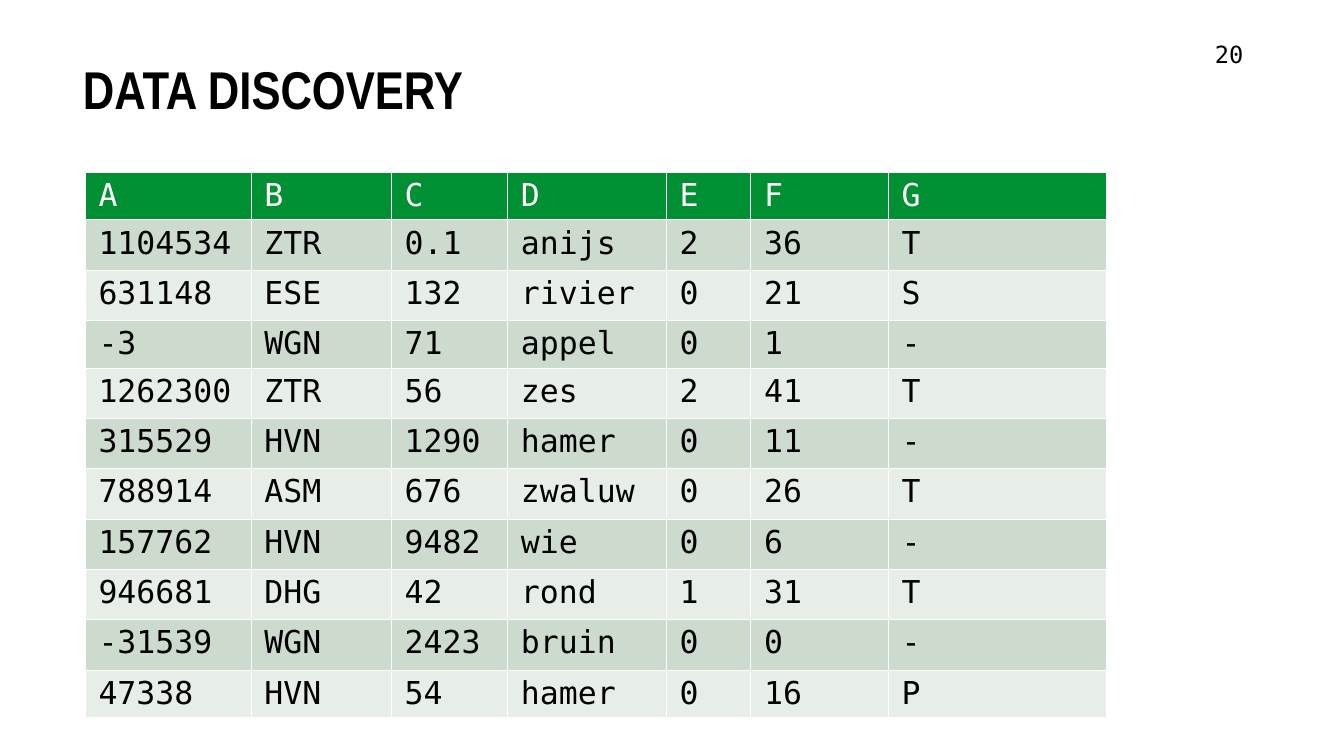
import pptx
import pptx.dml.color
import pptx.enum.text
import pptx.oxml.ns
import pptx.util
from lxml import etree

Inches = pptx.util.Inches
Pt = pptx.util.Pt
RGBColor = pptx.dml.color.RGBColor

BLACK = RGBColor(0x00, 0x00, 0x00)
WHITE = RGBColor(0xFF, 0xFF, 0xFF)
GREEN = RGBColor(0x00, 0x8F, 0x33)
SAGE = RGBColor(0xCC, 0xDB, 0xCE)
MIST = RGBColor(0xE7, 0xEE, 0xE8)

RECORDS = [
    ("A", "B", "C", "D", "E", "F", "G"),
    ("1104534", "ZTR", "0.1", "anijs", "2", "36", "T"),
    ("631148", "ESE", "132", "rivier", "0", "21", "S"),
    ("-3", "WGN", "71", "appel", "0", "1", "-"),
    ("1262300", "ZTR", "56", "zes", "2", "41", "T"),
    ("315529", "HVN", "1290", "hamer", "0", "11", "-"),
    ("788914", "ASM", "676", "zwaluw", "0", "26", "T"),
    ("157762", "HVN", "9482", "wie", "0", "6", "-"),
    ("946681", "DHG", "42", "rond", "1", "31", "T"),
    ("-31539", "WGN", "2423", "bruin", "0", "0", "-"),
    ("47338", "HVN", "54", "hamer", "0", "16", "P"),
]
COLUMN_WIDTHS = [2.34, 1.98, 1.64, 2.24, 1.19, 1.94, 3.08]
SHORT_ROWS = {0, 3, 10}
SHORT_HEIGHT, TALL_HEIGHT = 0.65, 0.71


class SlideBuilder:
    heading_font = "Arial Narrow"
    body_font = "DejaVu Sans Mono"

    def __init__(self, page):
        self.page = page

    def style(self, para, font, size, color, bold=False):
        para.font.name = font
        para.font.size = Pt(size)
        para.font.bold = bold
        para.font.color.rgb = color

    def text(self, words, left, top, width, height, font, size, bold=False, spacing=1.0):
        box = self.page.shapes.add_textbox(
            Inches(left), Inches(top), Inches(width), Inches(height))
        frame = box.text_frame
        frame.word_wrap = True
        frame.vertical_anchor = pptx.enum.text.MSO_ANCHOR.TOP
        para = frame.paragraphs[0]
        para.text = words
        para.line_spacing = spacing
        self.style(para, font, size, BLACK, bold)

    def borders(self, cell):
        properties = cell._tc.get_or_add_tcPr()
        for position, side in enumerate(("lnL", "lnR", "lnT", "lnB")):
            line = etree.Element(pptx.oxml.ns.qn("a:" + side), w=str(Pt(1)))
            fill = etree.SubElement(line, pptx.oxml.ns.qn("a:solidFill"))
            etree.SubElement(fill, pptx.oxml.ns.qn("a:srgbClr"), val=str(WHITE))
            properties.insert(position, line)

    def cell(self, cell, words, fill, color):
        cell.text = words
        cell.margin_left = cell.margin_right = Inches(0.19)
        cell.margin_top = cell.margin_bottom = Inches(0.07)
        cell.fill.solid()
        cell.fill.fore_color.rgb = fill
        self.borders(cell)
        self.style(cell.text_frame.paragraphs[0], self.body_font, 32, color)

    def table(self, records, left, top, widths, heights):
        table = self.page.shapes.add_table(
            len(records), len(widths), Inches(left), Inches(top),
            Inches(sum(widths)), Inches(sum(heights))).table
        for column, width in zip(table.columns, widths):
            column.width = Inches(width)
        for index, (row, record) in enumerate(zip(table.rows, records)):
            row.height = Inches(heights[index])
            band = SAGE if index % 2 else MIST
            fill, color = (band, BLACK) if index else (GREEN, WHITE)
            for cell, words in zip(row.cells, record):
                self.cell(cell, words, fill, color)


def main():
    deck = pptx.Presentation()
    deck.slide_width, deck.slide_height = Inches(18.96), Inches(10.67)
    builder = SlideBuilder(deck.slides.add_slide(deck.slide_layouts[6]))

    # Title and page number
    builder.text("DATA DISCOVERY", 1.07, 0.92, 14.09, 1.47,
                 builder.heading_font, 54, bold=True, spacing=0.8)
    builder.text("20", 17.04, 0.52, 1.92, 0.78, builder.body_font, 24)

    # Data table
    heights = [SHORT_HEIGHT if index in SHORT_ROWS else TALL_HEIGHT
               for index in range(len(RECORDS))]
    builder.table(RECORDS, 1.2, 2.43, COLUMN_WIDTHS, heights)

    deck.save("out.pptx")


if __name__ == "__main__":
    main()
